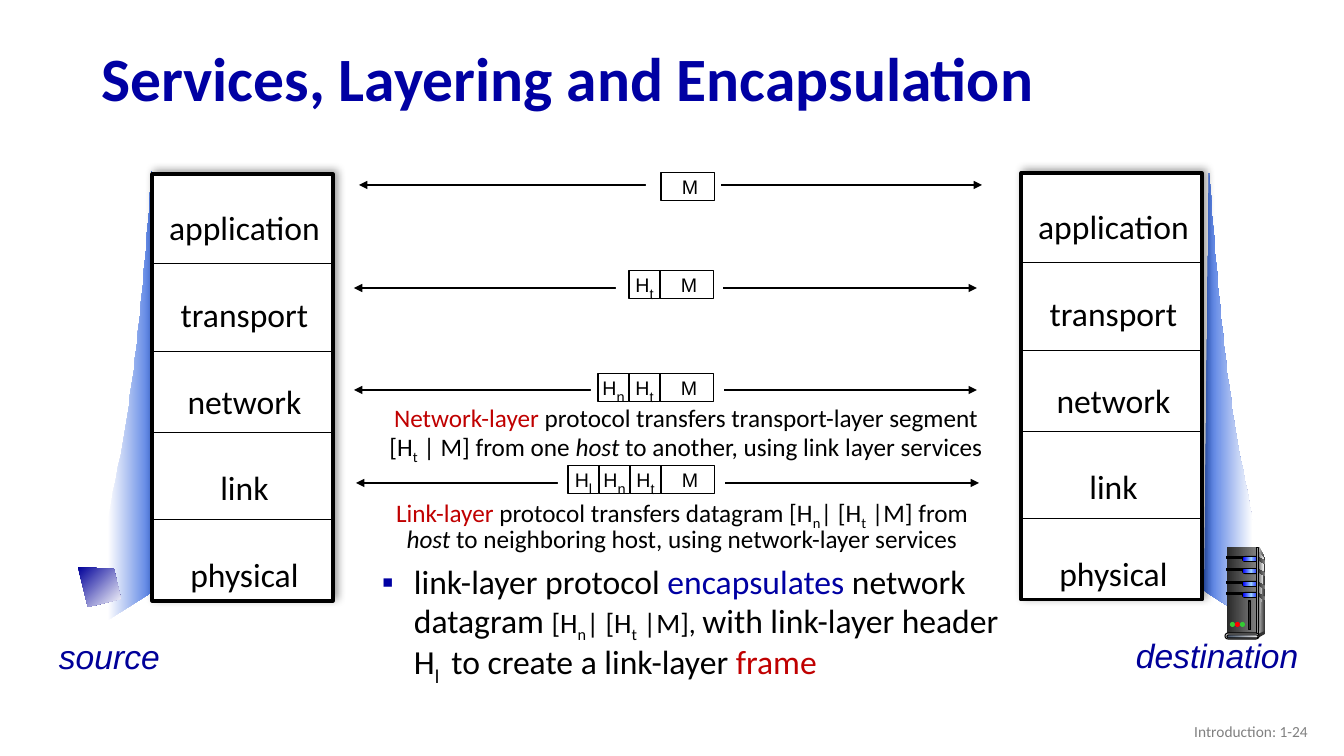
"""Build the slide on services, layering and encapsulation."""
from lxml.etree import SubElement
from pptx import Presentation
from pptx.dml.color import RGBColor
from pptx.enum.shapes import MSO_CONNECTOR, MSO_SHAPE
from pptx.enum.text import MSO_ANCHOR, PP_ALIGN
from pptx.oxml.ns import qn
from pptx.util import Pt

PX = 914400 / 100.8
COLORS = {
    "black": "000000", "white": "FFFFFF", "title": "0000A3", "navy": "000099",
    "red": "C00000", "grey": "808080", "beam": "3C6CDF", "dark": "292929",
    "steel": "333333", "silver": "DDDDDD", "pale": "F8F8F8", "slate": "44546A",
    "mist": "E7E6E6", "blue": "0000FF", "sky": "99CCFF", "green": "33CC33", "led": "FF0000",
}
TITLE = "Services, Layering and Encapsulation"
LAYERS = ["application", "transport", "network", "link", "physical"]
DIVIDERS = [89, 177, 258, 345]
STACKS = [(152, 174), (1021, 173)]
ENDPOINTS = [("source", (49, 631, 121, 50)), ("destination", (1126, 630, 184, 50))]
FLOWS = [
    (359, 185, (646, 164, 75, 43), 715, 173, ""),
    (354, 288, (616, 261, 107, 43), 714, 271, "t"),
    (354, 390, (591, 366, 133, 43), 714, 374, "nt"),
    (356, 483, (558, 460, 167, 41), 715, 466, "lnt"),
]
HEADER_WIDTH, MESSAGE_WIDTH, CELL_HEIGHT, ARROW_WIDTH = 31, 54, 28, 623
CAPTIONS = [
    ((370, 402, 632, 62), [
        ("Network-layer ", "red"), ("protocol transfers transport-layer segment [H", ""),
        ("t", "sub"), (" | M] from one ", ""), ("host", "italic"),
        (" to another, using link layer services", "")]),
    ((372, 494, 620, 62), [
        ("Link-layer ", "red"), ("protocol transfers datagram [H", ""), ("n", "sub"),
        ("| [H", ""), ("t", "sub"), (" |M] from ", ""), ("host ", "italic"),
        ("to neighboring host, using network-layer services", "")]),
]
BULLET = [
    ("link-layer protocol ", ""), ("encapsulates", "title"), (" network datagram ", ""),
    ("[H", "small"), ("n", "small sub"), ("| [H", "small"), ("t", "small sub"),
    (" |M], ", "small"), ("with link-layer header H", ""), ("l ", "sub"),
    (" to create a link-layer ", ""), ("frame", "red")]
BEAM_CURVE = [(1209, 173), (1222, 354), (1230, 409), (1253, 521)]
BEAM_BASE = [(1253, 622), (1204, 591)]
BEAM_MIRROR = 1361
LAPTOP = [(78, 567), (114, 569), (121, 599), (88, 607)]
SERVER_BAYS = [557, 569, 582, 593]
SERVER_LIGHTS = [(1230, "green"), (1235, "led"), (1240, "green")]

deck = Presentation()
deck.slide_width, deck.slide_height = round(1344 * PX), round(756 * PX)
slide = deck.slides.add_slide(deck.slide_layouts[5])
shapes = slide.shapes


def emu(lengths):
    return [round(length * PX) for length in lengths]


def color(name):
    return RGBColor.from_string(COLORS[name])


def paint(shape, fills, line=None, width=0.75, angle=0):
    shape.shadow.inherit = False
    names = fills.split()
    if len(names) == 1:
        shape.fill.solid()
        shape.fill.fore_color.rgb = color(names[0])
    else:
        shape.fill.gradient()
        shape.fill.gradient_angle = (360 - angle) % 360
        stops = shape._element.spPr.find(qn("a:gradFill")).find(qn("a:gsLst"))
        for stop in list(stops):
            stops.remove(stop)
        for index, name in enumerate(names):
            position = 100000 * index // (len(names) - 1)
            stop = SubElement(stops, qn("a:gs"), pos=str(position))
            SubElement(stop, qn("a:srgbClr"), val=COLORS[name])
    if line:
        shape.line.color.rgb = color(line)
        shape.line.width = Pt(width)
    else:
        shape.line.fill.background()
    return shape


def add_box(area, fills, line=None, width=0.75, kind=MSO_SHAPE.RECTANGLE):
    shape = shapes.add_shape(kind, *emu(area))
    if kind == MSO_SHAPE.ROUNDED_RECTANGLE:
        shape.adjustments[0] = 0.5
    return paint(shape, fills, line, width)


def add_outline(points, fills, angle=0):
    builder = shapes.build_freeform(*points[0], scale=PX)
    builder.add_line_segments(points[1:], close=True)
    return paint(builder.convert_to_shape(), fills, angle=angle)


def add_line(left, right, y, width, arrows=False):
    line = shapes.add_connector(MSO_CONNECTOR.STRAIGHT, *emu((left, y, right, y)))
    line.line.color.rgb = color("black")
    line.line.width = Pt(width)
    if arrows:
        outline = line.line._get_or_add_ln()
        for end in ("a:headEnd", "a:tailEnd"):
            SubElement(outline, qn(end), type="triangle")
    SubElement(line._element.spPr, qn("a:effectLst"))


def style(para, size, name="black", font="Calibri", align=PP_ALIGN.LEFT, spacing=1.0):
    para.alignment, para.line_spacing = align, spacing
    para.font.size, para.font.name = Pt(size), font
    para.font.color.rgb = color(name)


def add_spans(para, spans):
    for text, marks in spans:
        span = para.add_run()
        span.text = text
        for mark in marks.split():
            if mark == "sub":
                span.font._element.set("baseline", "-25000")
            elif mark == "italic":
                span.font.italic = True
            elif mark == "small":
                span.font.size = Pt(20)
            else:
                span.font.color.rgb = color(mark)


def add_text(area, wrap=True):
    frame = shapes.add_textbox(*emu(area)).text_frame
    frame.word_wrap = wrap
    return frame


def add_stack(left, top):
    body = add_box((left, top, 181, 427), "white", "black", 2.25)
    effects = body._element.spPr.find(qn("a:effectLst"))
    shadow = SubElement(effects, qn("a:outerShdw"), blurRad="76200", dist="38100",
                        dir="18900000", algn="bl", rotWithShape="0")
    tint = SubElement(shadow, qn("a:srgbClr"), val=COLORS["black"])
    SubElement(tint, qn("a:alpha"), val="40000")
    frame = add_text((left - 5, top - 18, 195, 445))
    frame.text = "\n".join(LAYERS)
    for para in frame.paragraphs:
        style(para, 24, align=PP_ALIGN.CENTER, spacing=2.15)
    for offset in DIVIDERS:
        add_line(left, left + 181, top + offset, 0.5)


def add_cell(left, top, width, spans, inset=0):
    cell = add_box((left, top, width, CELL_HEIGHT), "white", "black")
    frame = cell.text_frame
    frame.margin_left = round(inset * PX)
    frame.margin_right = frame.margin_top = frame.margin_bottom = 0
    frame.vertical_anchor, frame.word_wrap = MSO_ANCHOR.MIDDLE, False
    para = frame.paragraphs[0]
    style(para, 14, font="Arial", align=PP_ALIGN.CENTER)
    add_spans(para, spans)
    for span in para.runs[1:]:
        span.font.size = Pt(18)


def add_flow(left, y, gap, right, top, headers):
    add_line(left, left + ARROW_WIDTH, y, 1.5, arrows=True)
    add_box(gap, "white")
    message_left = right - MESSAGE_WIDTH
    for index, letter in enumerate(reversed(headers), 1):
        add_cell(message_left - index * HEADER_WIDTH, top, HEADER_WIDTH, [("H", ""), (letter, "sub")])
    add_cell(message_left, top, MESSAGE_WIDTH, [("M", "")], inset=4)


def add_beams():
    steps = [index / 24 for index in range(25)]
    curve = [tuple(sum(weight * point[axis] for weight, point in zip(
        ((1 - t) ** 3, 3 * t * (1 - t) ** 2, 3 * t * t * (1 - t), t ** 3), BEAM_CURVE))
        for axis in (0, 1)) for t in steps]
    right = BEAM_BASE + curve
    add_outline(right, "beam white")
    add_outline([(BEAM_MIRROR - x, y - 2) for x, y in right], "white beam")


def add_server():
    pill = MSO_SHAPE.ROUNDED_RECTANGLE
    add_outline([(1259, 547), (1265, 558), (1265, 631), (1257, 635)], "silver steel")
    add_box((1227, 547, 30, 88), "dark grey")
    add_outline([(1259, 552), (1264, 559), (1259, 632)], "grey pale")
    for y in SERVER_BAYS:
        add_box((1227, y, 17, 2), "black", "black")
        add_box((1242, y - 1, 17, 6), "black", kind=pill)
        add_box((1243, y, 16, 4), "blue sky blue", kind=pill)
        add_outline([(1258, y), (1265, y + 4), (1265, y + 7), (1258, y + 3)], "dark grey")
    add_box((1257, 547, 2, 88), "steel silver steel", "black")
    add_outline([(1258, 634), (1258, 638), (1265, 634), (1265, 631)], "steel")
    add_box((1225, 633, 34, 6), "silver", "black", kind=pill)
    add_box((1227, 635, 31, 3), "slate mist", "black", kind=pill)
    for x, light in SERVER_LIGHTS:
        add_box((x, 622, 5, 5), light, kind=MSO_SHAPE.OVAL)
    add_box((1249, 601, 2, 29), "dark", "black")


title = shapes.title
title.left, title.top, title.width, title.height = emu((91, 32, 1159, 99))
title.text_frame.text = TITLE
title.text_frame.vertical_anchor = MSO_ANCHOR.MIDDLE
style(title.text_frame.paragraphs[0], 44, "title", spacing=0.9)
title.text_frame.paragraphs[0].font.bold = True

add_beams()
add_outline(LAPTOP, "navy white", angle=45)
for corner in STACKS:
    add_stack(*corner)
add_server()
for name, area in ENDPOINTS:
    label = add_text(area, wrap=False)
    label.text = name
    style(label.paragraphs[0], 24, "navy", "Arial")
    label.paragraphs[0].font.italic = True
for flow in FLOWS:
    add_flow(*flow)
for area, spans in CAPTIONS:
    caption = add_text(area).paragraphs[0]
    style(caption, 18, align=PP_ALIGN.CENTER, spacing=0.85)
    add_spans(caption, spans)

point = add_text((372, 561, 643, 120)).paragraphs[0]
properties = point._element.get_or_add_pPr()
properties.set("marL", str(round(32 * PX)))
properties.set("indent", str(round(-32 * PX)))
SubElement(SubElement(properties, qn("a:buClr")), qn("a:srgbClr"), val=COLORS["title"])
SubElement(properties, qn("a:buFont"), typeface="Arial")
SubElement(properties, qn("a:buChar"), char="▪")
style(point, 24, spacing=0.9)
add_spans(point, BULLET)

footer = add_text((1016, 711, 302, 40))
footer.text = "Introduction: 1-24"
footer.vertical_anchor = MSO_ANCHOR.MIDDLE
style(footer.paragraphs[0], 11, "grey", align=PP_ALIGN.RIGHT)
deck.save("out.pptx")
